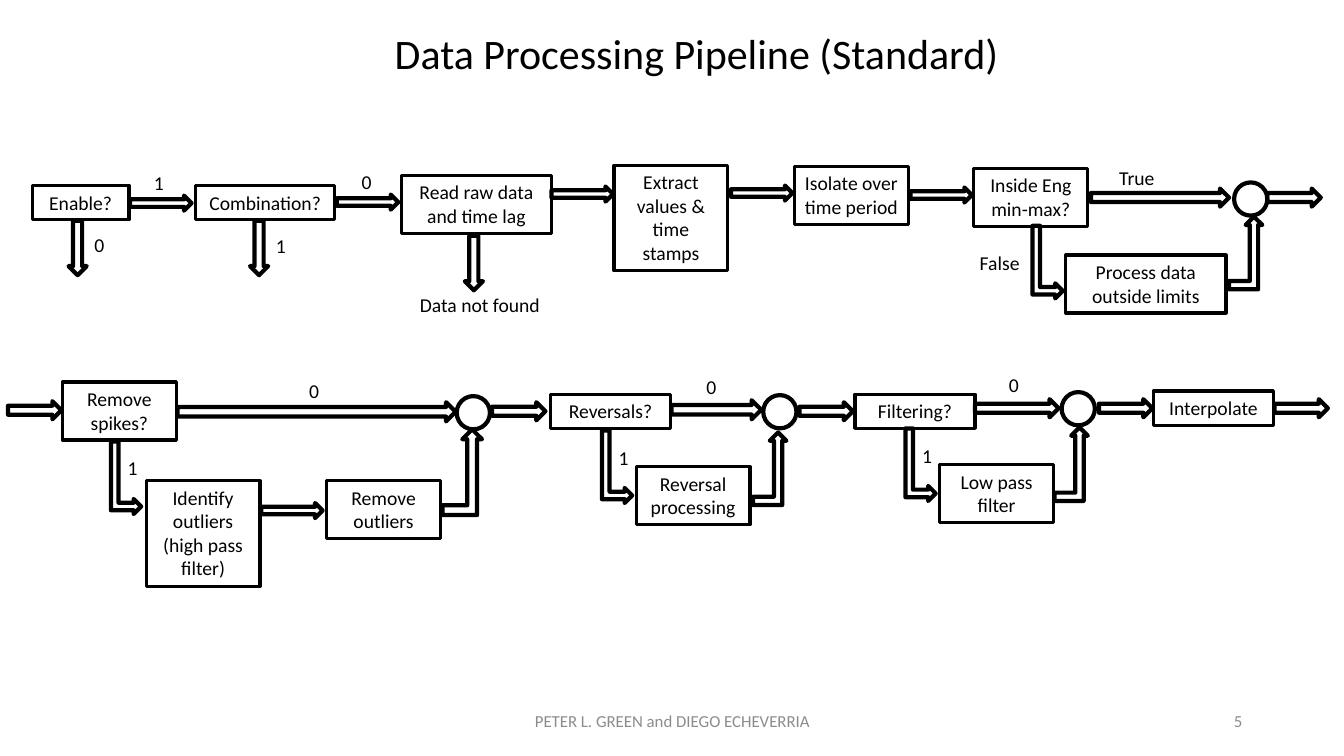
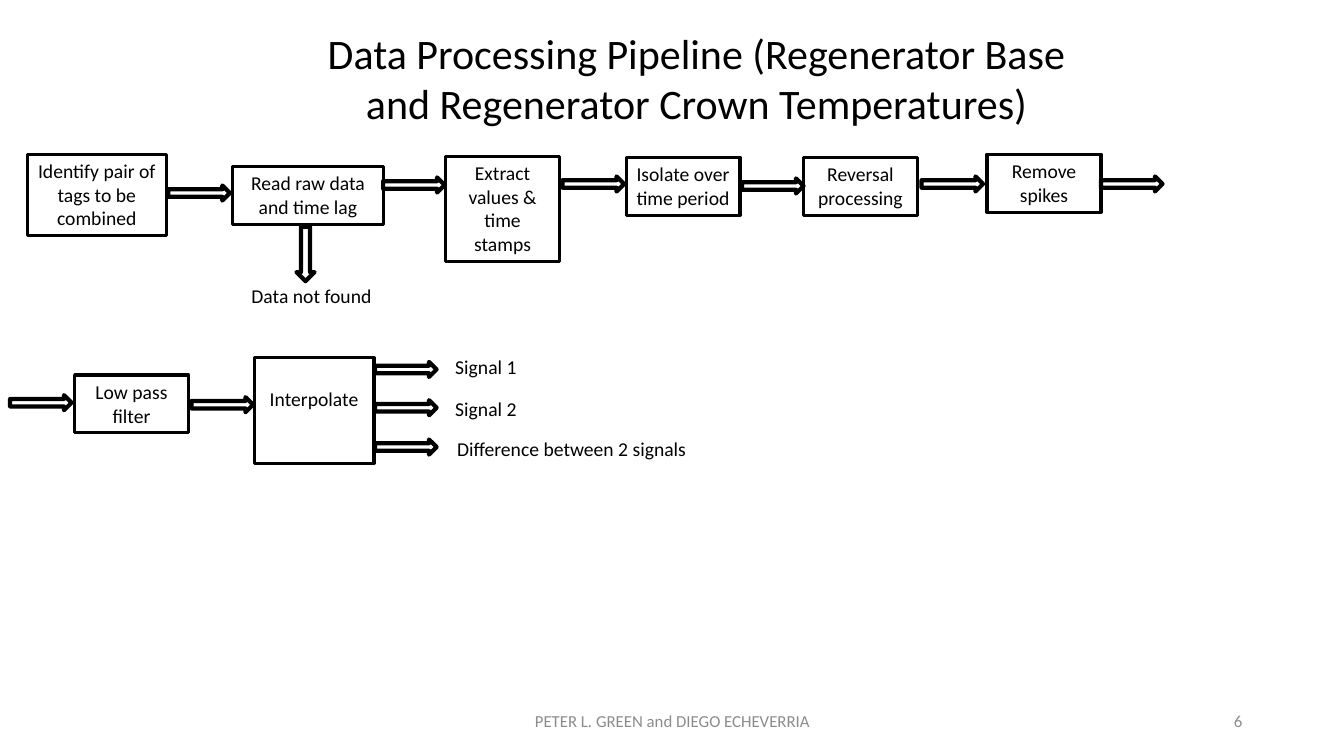
"""Build two slides that chart the standard and the regenerator data processing pipelines."""
from dataclasses import dataclass

from pptx import Presentation
from pptx.dml.color import RGBColor
from pptx.enum.shapes import MSO_SHAPE
from pptx.enum.text import MSO_ANCHOR, MSO_AUTO_SIZE, PP_ALIGN
from pptx.util import Inches, Pt


@dataclass(frozen=True)
class Theme:
    font: str = "Calibri"
    ink: RGBColor = RGBColor(0, 0, 0)
    muted: RGBColor = RGBColor(0x8C, 0x8C, 0x8C)
    title_size: Pt = Pt(30)
    body_size: Pt = Pt(14)
    footer_size: Pt = Pt(12)
    box_line: Pt = Pt(2.25)
    arrow_line: Pt = Pt(3)


theme = Theme()


def write(frame, text, size=theme.body_size, color=theme.ink,
          align=PP_ALIGN.CENTER, anchor=MSO_ANCHOR.TOP):
    frame.text = text
    frame.word_wrap = True
    frame.auto_size = MSO_AUTO_SIZE.NONE
    frame.vertical_anchor = anchor
    paragraph = frame.paragraphs[0]
    paragraph.alignment = align
    font = paragraph.runs[0].font
    font.name, font.size, font.color.rgb = theme.font, size, color


def outline(slide, preset, left, top, width, height, line_width=theme.arrow_line):
    shape = slide.shapes.add_shape(
        preset, Inches(left), Inches(top), Inches(width), Inches(height))
    shape.shadow.inherit = False
    shape.fill.background()
    shape.line.color.rgb = theme.ink
    shape.line.width = line_width
    return shape


LINE_HEIGHT = 0.34
EXTRA_LINE = 0.235
STEP = (0.61, 0.15)
HOP = (0.53, 0.18)
EXIT = (0.18, 0.54)
DETOUR = (0.72, 0.3)
JOIN = 0.33

# Boxes: text, left, top, width, lines. Labels: text, left, top, width.
reading_boxes = [
    ("Read raw data and time lag", 3.98, 1.74, 1.49, 2),
    ("Extract values & time stamps", 6.09, 1.64, 1.13, 4),
    ("Isolate over time period", 7.88, 1.65, 1.13, 2),
]
reading_label = ("Data not found", 3.74, 2.86, 2.04)
reading_steps = [(5.47, 1.85), (7.25, 1.84), (9.03, 1.86)]
reading_exit = (4.61, 2.34)

pipelines = [
    {
        "title": "Data Processing Pipeline (Standard)",
        "title_height": 0.61,
        "number": "5",
        "reading_shift": (0, 0),
        "boxes": [
            ("Enable?", 0.32, 1.84, 0.96, 1),
            ("Combination?", 1.94, 1.84, 1.38, 1),
            ("Inside Eng min-max?", 9.66, 1.67, 1.13, 2),
            ("Process data outside limits", 10.57, 2.53, 1.59, 2),
            ("Remove spikes?", 0.62, 3.79, 1.13, 2),
            ("Identify outliers (high pass filter)", 1.45, 4.77, 1.13, 4),
            ("Remove outliers", 3.24, 4.77, 1.13, 2),
            ("Reversals?", 5.46, 3.91, 1.19, 1),
            ("Reversal processing", 6.31, 4.63, 1.13, 2),
            ("Filtering?", 8.48, 3.91, 1.19, 1),
            ("Low pass filter", 9.32, 4.61, 1.13, 2),
            ("Interpolate", 11.44, 3.88, 1.19, 1),
        ],
        "labels": [
            ("1", 1.27, 1.65, 0.61), ("0", 0.68, 2.26, 0.61),
            ("0", 3.33, 1.64, 0.61), ("1", 2.48, 2.27, 0.61),
            ("True", 10.62, 1.6, 1.31), ("False", 9.26, 2.44, 1.31),
            ("0", 2.81, 3.71, 0.61), ("1", 1.01, 4.47, 0.61),
            ("0", 6.75, 3.67, 0.61), ("1", 5.88, 4.37, 0.61),
            ("0", 9.75, 3.65, 0.61), ("1", 8.89, 4.35, 0.61),
        ],
        "forward": [
            (1.29, 1.94, *STEP), (3.34, 1.93, *STEP), (2.59, 4.99, *STEP),
            (12.57, 1.87, *HOP), (0.08, 3.98, *HOP), (4.88, 3.99, *HOP),
            (7.93, 3.99, *HOP), (10.9, 3.96, *HOP), (12.64, 3.96, *HOP),
            (10.82, 1.87, 1.37, 0.18), (1.76, 3.99, 2.76, 0.19),
            (6.66, 3.97, 0.89, 0.19), (9.67, 3.96, 0.83, 0.18),
        ],
        "exits": [(0.68, 2.19), (2.48, 2.19)],
        "detours": [(10.03, 2.45), (0.89, 4.59), (5.76, 4.48), (8.77, 4.46)],
        "returns": [
            (12.19, 2.15, 0.33, 0.72), (4.39, 4.26, 0.39, 0.85),
            (7.47, 4.29, 0.33, 0.72), (10.46, 4.24, 0.33, 0.73),
        ],
        "joins": [(12.24, 1.81), (4.53, 3.93), (7.57, 3.92), (10.53, 3.89)],
    },
    {
        "title": "Data Processing Pipeline (Regenerator Base "
                 "and Regenerator Crown Temperatures)",
        "title_height": 1.11,
        "number": "6",
        "reading_shift": (-1.67, -0.09),
        "boxes": [
            ("Identify pair of tags to be combined", 0.27, 1.53, 1.38, 3),
            ("Reversal processing", 7.97, 1.56, 1.13, 2),
            ("Remove spikes", 9.79, 1.53, 1.13, 2),
            ("Low pass filter", 0.74, 3.72, 1.13, 2),
            ("Interpolate", 2.52, 3.55, 1.19, 4),
        ],
        "labels": [
            ("Signal 1", 3.8, 3.47, 2.04),
            ("Signal 2", 3.8, 3.89, 2.04),
            ("Difference between 2 signals", 4.22, 4.29, 2.9),
        ],
        "forward": [
            (left, top, *STEP) for left, top in [
                (1.67, 1.84), (9.14, 1.75), (10.92, 1.75), (0.1, 3.92),
                (1.9, 3.94), (3.72, 3.59), (3.72, 3.97), (3.72, 4.36)]
        ],
        "exits": [],
        "detours": [],
        "returns": [],
        "joins": [],
    },
]

prs = Presentation()
prs.slide_width, prs.slide_height = Inches(13.33), Inches(7.5)

for pipeline in pipelines:
    slide = prs.slides.add_slide(prs.slide_layouts[5])
    title = slide.shapes.title
    title.left, title.top = Inches(2.79), Inches(0.22)
    title.width, title.height = Inches(8.24), Inches(pipeline["title_height"])
    write(title.text_frame, pipeline["title"], theme.title_size)

    for text, left, width, align in [
        ("PETER L. GREEN and DIEGO ECHEVERRIA", 4.42, 4.5, PP_ALIGN.CENTER),
        (pipeline["number"], 9.42, 3, PP_ALIGN.RIGHT),
    ]:
        footer = slide.shapes.add_textbox(
            Inches(left), Inches(6.95), Inches(width), Inches(0.4))
        write(footer.text_frame, text, theme.footer_size, theme.muted,
              align, MSO_ANCHOR.MIDDLE)

    dx, dy = pipeline["reading_shift"]
    boxes = pipeline["boxes"] + [
        (text, left + dx, top + dy, width, lines)
        for text, left, top, width, lines in reading_boxes]
    for text, left, top, width, lines in boxes:
        height = LINE_HEIGHT + EXTRA_LINE * (lines - 1)
        stage = outline(slide, MSO_SHAPE.RECTANGLE, left, top, width, height,
                        theme.box_line)
        write(stage.text_frame, text)
        if text == "Interpolate" and lines > 1:
            stage.text_frame.margin_top = Inches(0.05 + EXTRA_LINE)

    text, left, top, width = reading_label
    labels = pipeline["labels"] + [(text, left + dx, top + dy, width)]
    for text, left, top, width in labels:
        label = slide.shapes.add_textbox(
            Inches(left), Inches(top), Inches(width), Inches(LINE_HEIGHT))
        write(label.text_frame, text)

    forward = pipeline["forward"] + [
        (left + dx, top + dy, *STEP) for left, top in reading_steps]
    for place in forward:
        outline(slide, MSO_SHAPE.RIGHT_ARROW, *place)

    exits = pipeline["exits"] + [(reading_exit[0] + dx, reading_exit[1] + dy)]
    for left, top in exits:
        outline(slide, MSO_SHAPE.DOWN_ARROW, left, top, *EXIT)

    for left, top in pipeline["detours"]:
        outline(slide, MSO_SHAPE.BENT_UP_ARROW, left, top, *DETOUR).rotation = 90

    for place in pipeline["returns"]:
        outline(slide, MSO_SHAPE.BENT_UP_ARROW, *place)

    for left, top in pipeline["joins"]:
        outline(slide, MSO_SHAPE.OVAL, left, top, JOIN, JOIN)

prs.save("out.pptx")
